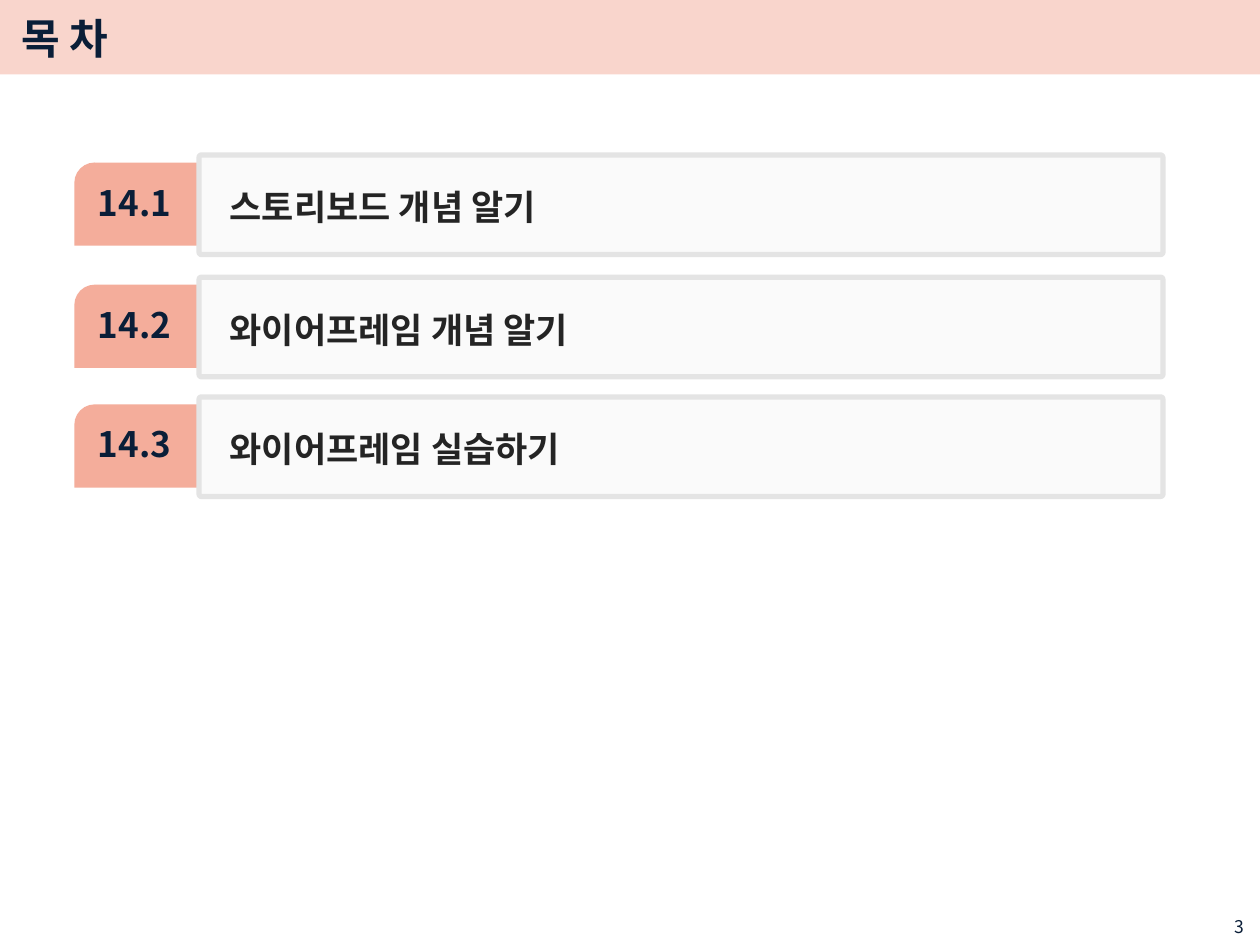
from lxml import etree
from pptx import Presentation
from pptx import util as u
from pptx.dml.color import RGBColor
from pptx.enum import shapes, text
from pptx.oxml.ns import qn

NAVY = RGBColor(0x0A, 0x1E, 0x38)
CHARCOAL = RGBColor(0x24, 0x24, 0x24)
CORAL = RGBColor(0xEE, 0x77, 0x59)
PALE = RGBColor(0xF2, 0xF2, 0xF2)
BORDER = RGBColor(0xE4, 0xE4, 0xE4)
FONT = "Noto Sans CJK KR"

# Top of each row's box, number and heading
ROWS = [
    (1.23, "14.1", "스토리보드 개념 알기"),
    (2.2, "14.2", "와이어프레임 개념 알기"),
    (3.15, "14.3", "와이어프레임 실습하기"),
]


class Deck:
    """Holds the style and the current slide."""

    def __init__(self, prs):
        self.slide = prs.slides.add_slide(prs.slide_layouts[5])
        self.tree = self.slide.shapes

    def box(self, at):
        return [u.Inches(v) for v in at]

    def set_text(self, sp, words, size, color, bold=True, align=text.PP_ALIGN.LEFT,
                 anchor=text.MSO_ANCHOR.MIDDLE, top=0.05, bottom=0.05,
                 left=0, indent=0, spacing=None):
        tf = sp.text_frame
        frame = {"word_wrap": True, "vertical_anchor": anchor,
                 "margin_left": u.Inches(0.1), "margin_right": u.Inches(0.1),
                 "margin_top": u.Inches(top), "margin_bottom": u.Inches(bottom)}
        for name, value in frame.items():
            setattr(tf, name, value)
        p = tf.paragraphs[0]
        p.alignment = align
        if spacing:
            p.line_spacing = spacing
        if left:
            pPr = p._p.get_or_add_pPr()
            pPr.set("marL", str(u.Inches(left)))
            pPr.set("indent", str(u.Inches(indent)))
        r = p.add_run()
        r.text = words
        for name, value in {"name": FONT, "size": u.Pt(size), "bold": bold}.items():
            setattr(r.font, name, value)
        r.font.color.rgb = color
        # Hangul takes the East Asian typeface
        ea = etree.SubElement(r._r.get_or_add_rPr(), qn("a:ea"))
        ea.set("typeface", FONT)

    def panel(self, kind, at, color, opacity, adjust=(), border=None):
        sp = self.tree.add_shape(kind, *self.box(at))
        sp.shadow.inherit = False
        for i, value in enumerate(adjust):
            sp.adjustments[i] = value
        sp.fill.solid()
        sp.fill.fore_color.rgb = color
        clr = sp._element.spPr.find(qn("a:solidFill")).find(qn("a:srgbClr"))
        etree.SubElement(clr, qn("a:alpha")).set("val", str(opacity * 1000))
        if border:
            sp.line.color.rgb = border
            sp.line.width = u.Pt(3)
        else:
            sp.line.fill.background()
        return sp

    def title(self, at, words):
        sp = self.tree.title
        sp.left, sp.top, sp.width, sp.height = self.box(at)
        self.set_text(sp, words, 24, NAVY)
        # Bring the title in front of the header band
        sp._element.getparent().append(sp._element)

    def label(self, at, words, size, **style):
        sp = self.tree.add_textbox(*self.box(at))
        self.set_text(sp, words, size, NAVY, **style)

    def row(self, top, number, heading):
        kinds = shapes.MSO_SHAPE
        tab = self.panel(kinds.SNIP_ROUND_RECTANGLE, (0.59, top + 0.06, 1, 0.66),
                         CORAL, 60, (0.245, 0))
        self.set_text(tab, number, 20, NAVY, top=0, bottom=0.08, left=0.04)
        bar = self.panel(kinds.ROUNDED_RECTANGLE, (1.58, top, 7.65, 0.79),
                         PALE, 33, (0.023,), BORDER)
        self.set_text(bar, heading, 20, CHARCOAL, left=0.13, indent=0.01, spacing=1.1)


def main():
    prs = Presentation()
    prs.slide_width, prs.slide_height = u.Inches(10), u.Inches(7.5)
    s = Deck(prs)

    # Header band and title
    s.panel(shapes.MSO_SHAPE.RECTANGLE, (0, -0.02, 10, 0.61), CORAL, 30)
    s.title((0.07, 0.04, 8.51, 0.52), "목 차")

    # Contents rows
    for row in ROWS:
        s.row(*row)

    # Page number
    s.label((9.05, 7.22, 0.92, 0.23), "3", 10, bold=False,
            align=text.PP_ALIGN.RIGHT, anchor=text.MSO_ANCHOR.TOP)

    prs.save("out.pptx")


if __name__ == "__main__":
    main()
